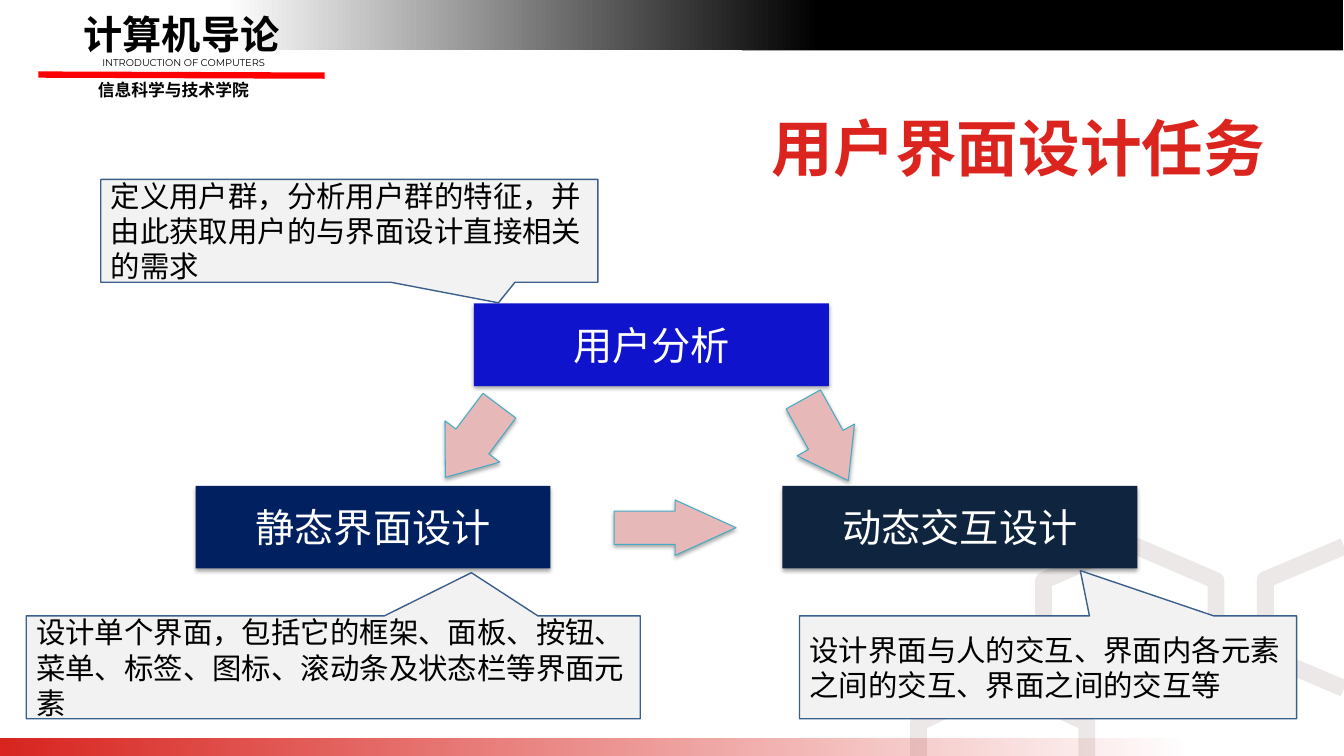
"""Build the slide on user interface design tasks."""
from pptx import Presentation, util as u
from pptx.dml import color
from pptx.enum import shapes, text
from pptx.oxml import ns, xmlchemy

PX = 9144
CJK = "Noto Sans CJK SC"
SHAPE = shapes.MSO_SHAPE
ALIGN = text.PP_ALIGN
MIDDLE = text.MSO_ANCHOR.MIDDLE


def px(*lengths):
    """Turn whole px lengths into EMU."""
    return [u.Emu(length * PX) for length in lengths]


def rgb(value):
    """Turn a hex string into a colour."""
    return color.RGBColor.from_string(value)


def add_child(parent, tag, **attributes):
    """Append a drawing element with attributes."""
    child = xmlchemy.OxmlElement(tag)
    for name, value in attributes.items():
        child.set(name, str(value))
    parent.append(child)
    return child


def set_alpha(parent, percent):
    """Set the opacity of the last colour below an element."""
    colour = list(parent.iter(ns.qn("a:srgbClr")))[-1]
    add_child(colour, "a:alpha", val=percent * 1000)


def write(frame, words, size, ink="000000", font=CJK, bold=False,
          align=ALIGN.CENTER, anchor=MIDDLE):
    """Put one formatted paragraph in a text frame."""
    frame.text = words
    frame.word_wrap = True
    frame.vertical_anchor = anchor
    para = frame.paragraphs[0]
    para.alignment = align
    span = para.runs[0]
    span.font.size = u.Pt(size)
    span.font.bold = bold
    span.font.name = font
    span.font.color.rgb = rgb(ink)
    add_child(span.font._element, "a:ea", typeface=CJK)


def add_label(page, at, words, size, **style):
    """Add a text box."""
    box = page.shapes.add_textbox(*px(*at))
    write(box.text_frame, words, size, anchor=text.MSO_ANCHOR.TOP, **style)


def add_solid(page, kind, at, fill, line=None, width=1):
    """Add a flat preset shape."""
    box = page.shapes.add_shape(kind, *px(*at))
    box.shadow.inherit = False
    box.fill.solid()
    box.fill.fore_color.rgb = rgb(fill)
    if line:
        box.line.color.rgb = rgb(line)
        box.line.width = u.Pt(width)
    else:
        box.line.fill.background()
    return box


def add_fade(page, at, start, end, end_alpha=100):
    """Add a band with a left-to-right gradient."""
    band = add_solid(page, SHAPE.RECTANGLE, at, start)
    band.fill.gradient()
    band.fill.gradient_angle = 0
    for stop, value in zip(band.fill.gradient_stops, (start, end)):
        stop.color.rgb = rgb(value)
    set_alpha(band.element.spPr, end_alpha)


def add_shadow(box):
    """Give a shape a soft shadow below it."""
    effects = box.element.spPr.find(ns.qn("a:effectLst"))
    shadow = add_child(effects, "a:outerShdw", blurRad=u.Pt(3.1), dist=u.Pt(1.8),
                       dir=5400000, rotWithShape=0)
    add_child(shadow, "a:srgbClr", val="000000")
    set_alpha(shadow, 35)


def add_outline(page, points, close=False):
    """Add a pale thick outline through points."""
    builder = page.shapes.build_freeform(*points[0], scale=PX)
    builder.add_line_segments(points[1:], close=close)
    outline = builder.convert_to_shape()
    outline.shadow.inherit = False
    outline.fill.background()
    outline.line.color.rgb = rgb("BDB6B0")
    outline.line.width = u.Pt(12)
    set_alpha(outline.element.spPr, 30)


def add_rule(page, start, end):
    """Add the red line below the course name."""
    rule = page.shapes.add_connector(shapes.MSO_CONNECTOR.STRAIGHT, *px(*start, *end))
    rule.line.color.rgb = rgb("FF0000")
    rule.line.width = u.Pt(4.5)
    add_child(rule.element.spPr, "a:effectLst")


def add_task(page, left, top, words, fill):
    """Add a task box."""
    box = add_solid(page, SHAPE.RECTANGLE, (left, top, 352, 82), fill)
    add_shadow(box)
    write(box.text_frame, words, 28, "FFFFFF")


def add_arrow(page, at, angle):
    """Add a block arrow whose head is half its length."""
    arrow = add_solid(page, SHAPE.RIGHT_ARROW, at, "E6B9B8", "46AAC5", 0.75)
    arrow.adjustments[0] = 0.6
    arrow.adjustments[1] = at[2] / at[3] / 2
    arrow.rotation = angle
    add_shadow(arrow)


def add_callout(page, at, tip, words):
    """Add a callout with its tip offset from the centre."""
    callout = add_solid(page, SHAPE.RECTANGULAR_CALLOUT, at, "F2F2F2", "3A5F8C")
    callout.adjustments[0], callout.adjustments[1] = tip
    write(callout.text_frame, words, 21, align=ALIGN.LEFT)


def add_frame(page):
    """Add the header, the hexagons and the footer."""
    add_solid(page, SHAPE.RECTANGLE, (736, 0, 596, 50), "000000")
    add_fade(page, (224, -1, 588, 51), "FFFFFF", "000000")
    add_label(page, (14, 74, 316, 31), "信息科学与技术学院", 12, bold=True)
    add_label(page, (22, 5, 316, 58), "计算机导论", 28, bold=True)
    add_rule(page, (38, 74), (322, 75))
    add_label(page, (38, 51, 288, 22), "INTRODUCTION OF COMPUTERS", 7, font="Montserrat")
    add_outline(page, [(1035, 576), (1120, 539), (1206, 576),
                       (1206, 649), (1120, 686), (1035, 649)], close=True)
    add_outline(page, [(911, 750), (911, 717), (994, 678), (1078, 717), (1078, 750)])
    add_outline(page, [(1333, 542), (1255, 575), (1255, 650), (1333, 683)])
    add_fade(page, (-1, 733, 1182, 17), "D9241F", "D9241F", end_alpha=0)


def add_title(page, words):
    """Place and format the title."""
    title = page.shapes.title
    title.left, title.top, title.width, title.height = px(67, 113, 1198, 65)
    write(title.text_frame, words, 44, "DC241F", "Times New Roman", True, ALIGN.RIGHT)


def main():
    """Build and save the deck."""
    deck = Presentation()
    deck.slide_width, deck.slide_height = px(1333, 750)
    page = deck.slides.add_slide(deck.slide_layouts[5])
    add_frame(page)
    add_title(page, "用户界面设计任务")
    add_task(page, 470, 301, "用户分析", "0F13CB")
    add_task(page, 194, 482, "静态界面设计", "002060")
    add_task(page, 776, 482, "动态交互设计", "0F243E")
    add_arrow(page, (424, 404, 89, 68), 127)
    add_arrow(page, (773, 404, 92, 65), 61)
    add_arrow(page, (609, 496, 121, 55), 0)
    add_callout(page, (100, 178, 493, 102), (0.3, 0.7),
                "定义用户群，分析用户群的特征，并由此获取用户的与界面设计直接相关的需求")
    add_callout(page, (793, 611, 493, 102), (0.065, -0.94),
                "设计界面与人的交互、界面内各元素之间的交互、界面之间的交互等")
    add_callout(page, (26, 611, 609, 102), (0.225, -0.92),
                "设计单个界面，包括它的框架、面板、按钮、菜单、标签、图标、滚动条及状态栏等界面元素")
    deck.save("out.pptx")


if __name__ == "__main__":
    main()
